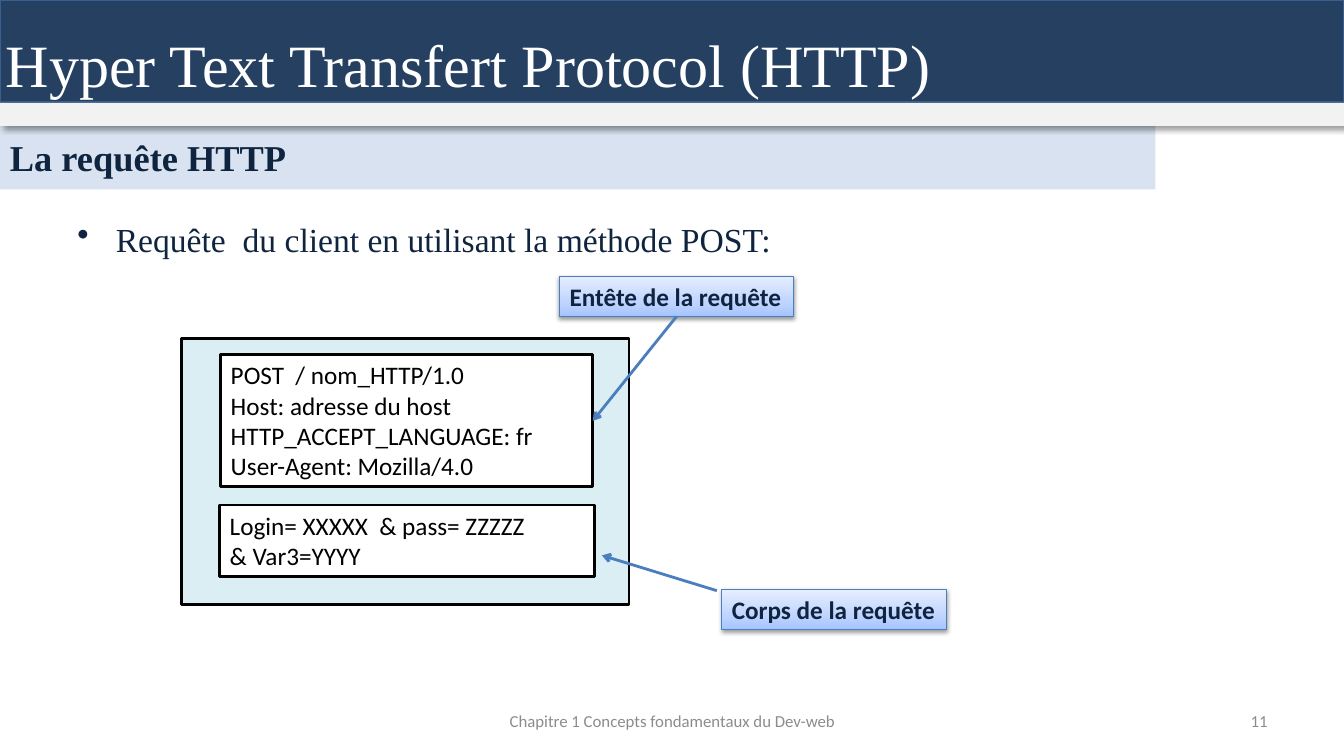
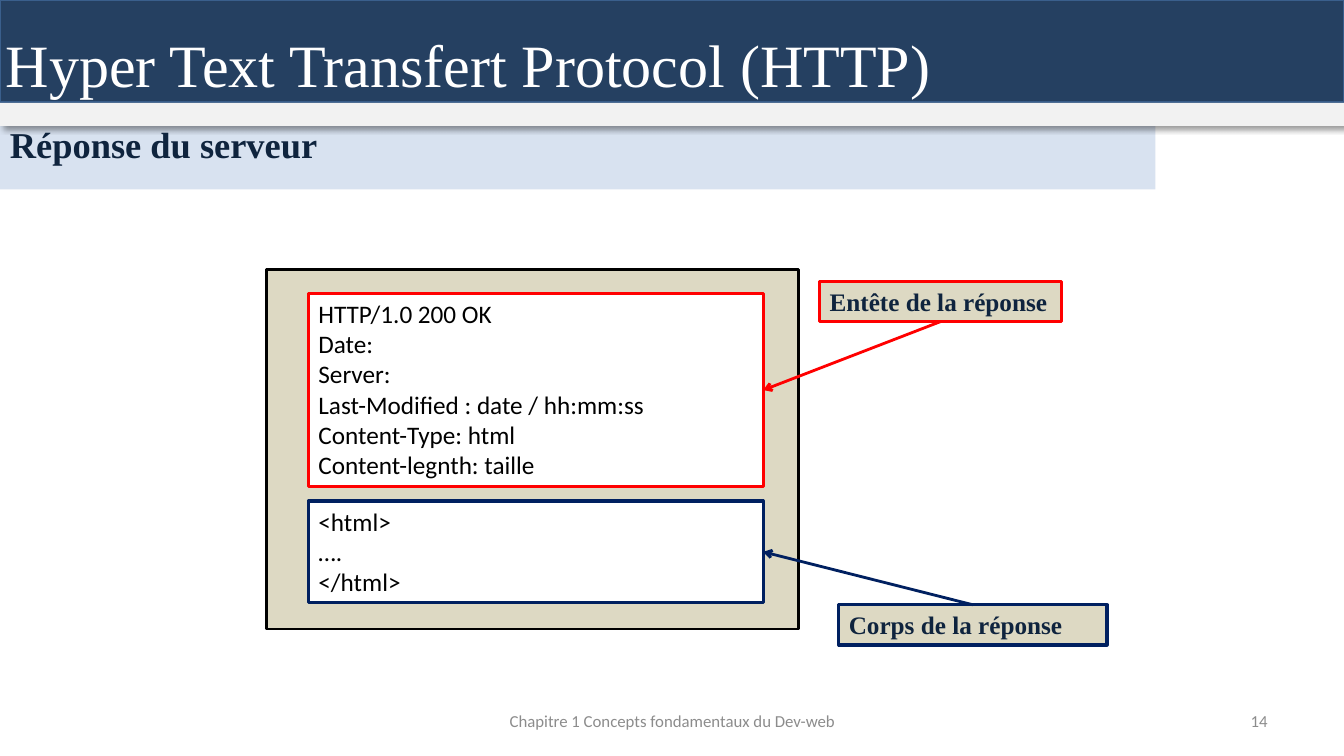
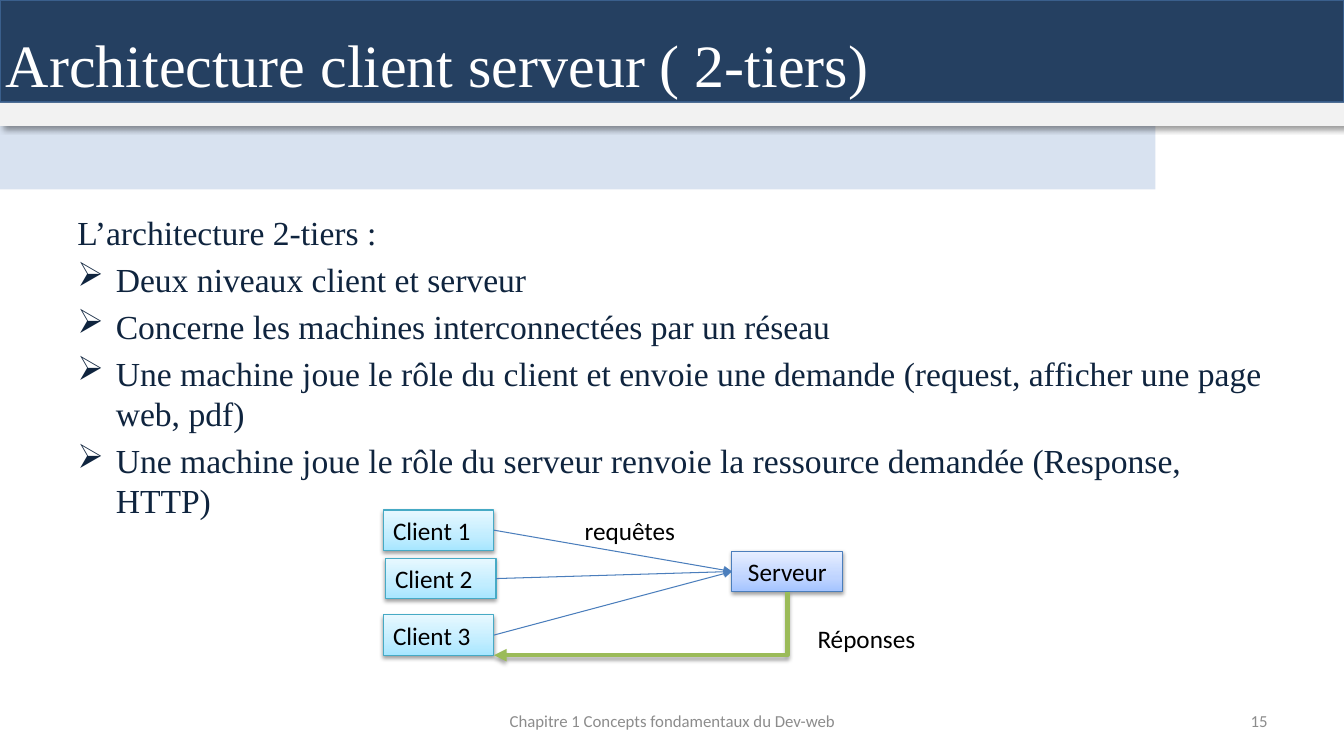
from dataclasses import dataclass, field
from typing import NamedTuple

from lxml import etree
from pptx import Presentation
from pptx import util as u
from pptx.dml import color
from pptx.enum import shapes, text
from pptx.oxml import ns


class Box(NamedTuple):
    left: float
    top: float
    width: float
    height: float

    def inner(self, left, top, width, height):
        return Box(self.left + left, self.top + top, width, height)

    def point(self, across, down):
        return self.left + self.width * across, self.top + self.height * down

    def lengths(self):
        return [u.Inches(value) for value in self]


class Style(NamedTuple):
    size: float
    name: str
    ink: str
    bold: bool = False


class Shadow(NamedTuple):
    alpha: int
    blur: float
    distance: float
    angle: int


class Look(NamedTuple):
    fill: object
    line: str = None
    weight: float = 0
    shadow: Shadow = None


class Part(NamedTuple):
    box: Box
    lines: list
    look: Look
    tag_box: Box
    tag: str
    tag_look: Look
    arrow_ink: str
    tag_side: int
    arrow: tuple = None


SERIF, SANS = "Times New Roman", "Calibri"
NAVY, BLUE, BLACK, WHITE = "0F243E", "4B7EBC", "000000", "FFFFFF"
RED, DEEP_BLUE, SAND = "FF0000", "002060", "DDD9C3"
BAR_SHADOW = Shadow(40, 4, 3, 45)
NODE_SHADOW = Shadow(38, 3.1, 1.6, 90)


@dataclass(frozen=True)
class Theme:
    title: Style = Style(42.9, SERIF, WHITE)
    subtitle: Style = Style(26, SERIF, NAVY, True)
    body: Style = Style(24, SERIF, NAVY)
    code: Style = Style(18, SANS, BLACK)
    request_tag: Style = Style(18, SANS, NAVY, True)
    response_tag: Style = Style(18, SERIF, NAVY, True)
    footer: Style = Style(12, SANS, "8C8C8C")
    title_bar: Look = Look("254061", "3A5F8C", 2, BAR_SHADOW)
    subtitle_band: Look = Look("D8E2F0")
    divider: Look = Look("F2F2F2", shadow=BAR_SHADOW)
    request_panel: Look = Look("DBEEF4", BLACK, 2)
    response_panel: Look = Look(SAND, BLACK, 2)
    request_part: Look = Look(WHITE, BLACK, 2)
    response_head: Look = Look(WHITE, RED, 2.25)
    response_body: Look = Look(WHITE, DEEP_BLUE, 2.25)
    head_tag: Look = Look(SAND, RED, 2.25)
    body_tag: Look = Look(SAND, DEEP_BLUE, 2.25)
    blue_node: Look = Look(("A4C4FF", "BFD4FF", "E6EEFF"), BLUE, 0.75, NODE_SHADOW)
    cyan_node: Look = Look(("A7E6FF", "C1EDFF", "E7F8FF"), "46AAC5", 0.75, NODE_SHADOW)
    reply_ink: str = "9BBB59"
    reply_shadow: Shadow = Shadow(35, 3.1, 1.8, 90)
    stops: tuple = (0, 35, 100)
    indent: float = 0.38
    footer_text: str = "Chapitre 1 Concepts fondamentaux du Dev-web"
    slide: Box = field(default=Box(0, 0, 13.33, 7.5))


THEME = Theme()


def rgb(value):
    return color.RGBColor.from_string(value)


def apply(target, **values):
    for name, value in values.items():
        setattr(target, name, value)


def add_xml(parent, tag, **values):
    child = etree.SubElement(parent, ns.qn(tag))
    for name, value in values.items():
        child.set(name, str(value))
    return child


def add_tint(parent, ink):
    return add_xml(parent, "a:srgbClr", val=ink)


def add_shadow(effects, shadow):
    outer = add_xml(effects, "a:outerShdw", blurRad=u.Pt(shadow.blur),
                    dist=u.Pt(shadow.distance), dir=shadow.angle * 60000,
                    rotWithShape=0)
    add_xml(add_tint(outer, BLACK), "a:alpha", val=shadow.alpha * 1000)


def write(frame, lines, style, align=None, bullets=None, **frame_format):
    apply(frame, **{"word_wrap": True,
                    "vertical_anchor": text.MSO_ANCHOR.TOP, **frame_format})
    for index, line in enumerate(lines):
        para = frame.paragraphs[0] if index == 0 else frame.add_paragraph()
        if bullets:
            margin = u.Inches(THEME.indent)
            props = para._p.get_or_add_pPr()
            props.set("marL", str(margin))
            props.set("indent", str(-margin))
            if bullets[index]:
                add_xml(props, "a:buChar", char=bullets[index])
            if index:
                para.space_before = u.Pt(style.size * 0.2)
        para.alignment = align or text.PP_ALIGN.LEFT
        span = para.add_run()
        span.text = line
        apply(span.font, size=u.Pt(style.size), name=style.name, bold=style.bold)
        span.font.color.rgb = rgb(style.ink)


def add_text(page, box, lines, style, **options):
    frame = page.shapes.add_textbox(*box.lengths()).text_frame
    write(frame, lines, style, **options)
    return frame


def add_rect(page, box, look, lines=(), style=None, **options):
    shape = page.shapes.add_shape(shapes.MSO_SHAPE.RECTANGLE, *box.lengths())
    if isinstance(look.fill, str):
        shape.fill.solid()
        shape.fill.fore_color.rgb = rgb(look.fill)
    else:
        shape.fill.gradient()
        shape.fill.gradient_angle = 90
        stops = shape._element.spPr.find(".//" + ns.qn("a:gsLst"))
        for stop in list(stops):
            stops.remove(stop)
        for place, ink in zip(THEME.stops, look.fill):
            add_tint(add_xml(stops, "a:gs", pos=place * 1000), ink)
    if look.line:
        shape.line.color.rgb = rgb(look.line)
        shape.line.width = u.Pt(look.weight)
    else:
        shape.line.fill.background()
    shape.shadow.inherit = False
    if look.shadow:
        add_shadow(shape._element.spPr.find(ns.qn("a:effectLst")), look.shadow)
    if lines:
        write(shape.text_frame, lines, style, **options)
    return shape


def add_arrow(page, start, end, ink, weight, head, shadow=None,
              kind=shapes.MSO_CONNECTOR.STRAIGHT):
    ends = [u.Inches(value) for value in (*start, *end)]
    arrow = page.shapes.add_connector(kind, *ends)
    arrow.line.color.rgb = rgb(ink)
    arrow.line.width = u.Pt(weight)
    props = arrow._element.spPr
    add_xml(props.find(ns.qn("a:ln")), "a:tailEnd", type=head)
    effects = add_xml(props, "a:effectLst")
    if shadow:
        add_shadow(effects, shadow)
    return arrow


def add_corner_arrow(page, start, end, ink, weight, shadow):
    across, down = start[0] - end[0], end[1] - start[1]
    middle_x, middle_y = (start[0] + end[0]) / 2, (start[1] + end[1]) / 2
    first = middle_x - down / 2, middle_y - across / 2
    last = middle_x + down / 2, middle_y + across / 2
    arrow = add_arrow(page, first, last, ink, weight, "triangle", shadow,
                      shapes.MSO_CONNECTOR.ELBOW)
    props = arrow._element.spPr
    props.find(ns.qn("a:xfrm")).set("rot", str(90 * 60000))
    props.find(ns.qn("a:prstGeom")).set("prst", "bentConnector2")


def add_header(page, box, title, subtitle=None, subtitle_shift=0):
    add_rect(page, box.inner(0, 0, box.width, 1.02), THEME.title_bar)
    add_rect(page, box.inner(0, 1.25, 11.46, 0.63), THEME.subtitle_band)
    add_rect(page, box.inner(0, 1.02, box.width, 0.23), THEME.divider)
    frame = add_text(page, box.inner(-0.04, 0.3, 10.21, 0.77), [title], THEME.title)
    frame.paragraphs[0].line_spacing = 0.9
    if subtitle:
        add_text(page, box.inner(0, 1.25 + subtitle_shift, 6, 0.54),
                 [subtitle], THEME.subtitle)


def add_footer(page, box, number):
    middle = text.MSO_ANCHOR.MIDDLE
    add_text(page, box.inner(4.56, 0, 4.22, box.height), [THEME.footer_text],
             THEME.footer, align=text.PP_ALIGN.CENTER, vertical_anchor=middle)
    add_text(page, box.inner(9.56, 0, 3.11, box.height), [number],
             THEME.footer, align=text.PP_ALIGN.RIGHT, vertical_anchor=middle)


def add_page(deck, title, number, **header):
    page = deck.slides.add_slide(deck.slide_layouts[6])
    add_header(page, THEME.slide, title, **header)
    add_footer(page, THEME.slide.inner(0, 6.95, THEME.slide.width, 0.4), number)
    return page


def add_message(page, box, panel, tag_style, parts, tag_wrap):
    add_rect(page, box, panel)
    for part in parts:
        part_box, tag_box = box.inner(*part.box), box.inner(*part.tag_box)
        add_rect(page, part_box, part.look, part.lines, THEME.code)
        add_rect(page, tag_box, part.tag_look, [part.tag], tag_style,
                 word_wrap=tag_wrap)
        if part.arrow:
            start, end = [box.inner(*spot, 0, 0)[:2] for spot in part.arrow]
        else:
            start, end = tag_box.point(0.5, part.tag_side), part_box.point(1, 0.5)
        add_arrow(page, start, end, part.arrow_ink, 2, "arrow")


def add_architecture(page, box):
    server = box.inner(3.46, 0.41, 1.1, 0.4)
    clients = [box.inner(left, top, 1.1, 0.4)
               for left, top in ((0, 0), (0.02, 0.48), (0, 1.04))]
    for number, client in enumerate(clients, 1):
        add_rect(page, client, THEME.cyan_node, [f"Client {number}"], THEME.code)
    add_rect(page, server, THEME.blue_node, ["Serveur"], THEME.code,
             align=text.PP_ALIGN.CENTER)
    for client in clients:
        add_arrow(page, client.point(1, 0.5), server.point(0, 0.5), BLUE, 0.75,
                  "triangle")
    add_corner_arrow(page, server.point(0.5, 1), clients[-1].point(1, 1),
                     THEME.reply_ink, 3, THEME.reply_shadow)
    for label, left, top, width in (("requêtes", 1.9, 0, 1.11),
                                    ("Réponses", 4.21, 1.07, 1.18)):
        add_text(page, box.inner(left, top, width, 0.4), [label], THEME.code,
                 word_wrap=False)


def request_slide(deck, title):
    page = add_page(deck, title, "11", subtitle="La requête HTTP",
                    subtitle_shift=0.04)
    add_text(page, Box(0.67, 2.12, 12, 0.5),
             ["Requête  du client en utilisant la méthode POST:"],
             THEME.body, bullets=["•"])
    head = Part(Box(0.39, 0.16, 3.69, 1.31),
                ["POST  / nom_HTTP/1.0", "Host: adresse du host",
                 "HTTP_ACCEPT_LANGUAGE: fr", "User-Agent: Mozilla/4.0"],
                THEME.request_part, Box(3.75, -0.62, 2.32, 0.4),
                "Entête de la requête", THEME.blue_node, BLUE, 1)
    body = Part(Box(0.38, 1.65, 3.72, 0.71),
                ["Login= XXXXX  & pass= ZZZZZ", "& Var3=YYYY"],
                THEME.request_part, Box(5.36, 2.49, 2.23, 0.4),
                "Corps de la requête", THEME.blue_node, BLUE, 0,
                ((5.31, 2.5), (4.17, 2.15)))
    add_message(page, Box(1.8, 3.36, 4.44, 2.64), THEME.request_panel,
                THEME.request_tag, [head, body], False)


def response_slide(deck, title):
    page = add_page(deck, title, "14", subtitle="Réponse du serveur",
                    subtitle_shift=-0.09)
    head = Part(Box(0.42, 0.24, 4.51, 1.92),
                ["HTTP/1.0 200 OK", "Date:", "Server:",
                 "Last-Modified : date / hh:mm:ss", "Content-Type: html",
                 "Content-legnth: taille"],
                THEME.response_head, Box(5.49, 0.12, 2.4, 0.4),
                "Entête de la réponse", THEME.head_tag, RED, 1)
    body = Part(Box(0.42, 2.3, 4.51, 1.01), ["<html>", "….", "</html>"],
                THEME.response_body, Box(5.68, 3.33, 2.66, 0.4),
                "Corps de la réponse", THEME.body_tag, DEEP_BLUE, 0)
    add_message(page, Box(2.64, 2.67, 5.28, 3.57), THEME.response_panel,
                THEME.response_tag, [head, body], True)


def architecture_slide(deck, title):
    page = add_page(deck, title, "15")
    lines = [
        "L’architecture 2-tiers :",
        "Deux niveaux client et serveur",
        "Concerne les machines interconnectées par un réseau",
        "Une machine joue le rôle du client et envoie une demande "
        "(request, afficher une page web, pdf)",
        "Une machine joue le rôle du serveur renvoie la ressource demandée "
        "(Response, HTTP)",
    ]
    add_text(page, Box(0.67, 2.05, 12, 3.2), lines, THEME.body,
             bullets=[None] + ["➢"] * (len(lines) - 1))
    add_architecture(page, Box(3.8, 5.06, 5.39, 1.47))


def main():
    deck = Presentation()
    apply(deck, slide_width=u.Inches(THEME.slide.width),
          slide_height=u.Inches(THEME.slide.height))
    protocol = "Hyper Text Transfert Protocol (HTTP)"
    request_slide(deck, protocol)
    response_slide(deck, protocol)
    architecture_slide(deck, "Architecture client serveur ( 2-tiers)")
    deck.save("out.pptx")


if __name__ == "__main__":
    main()
